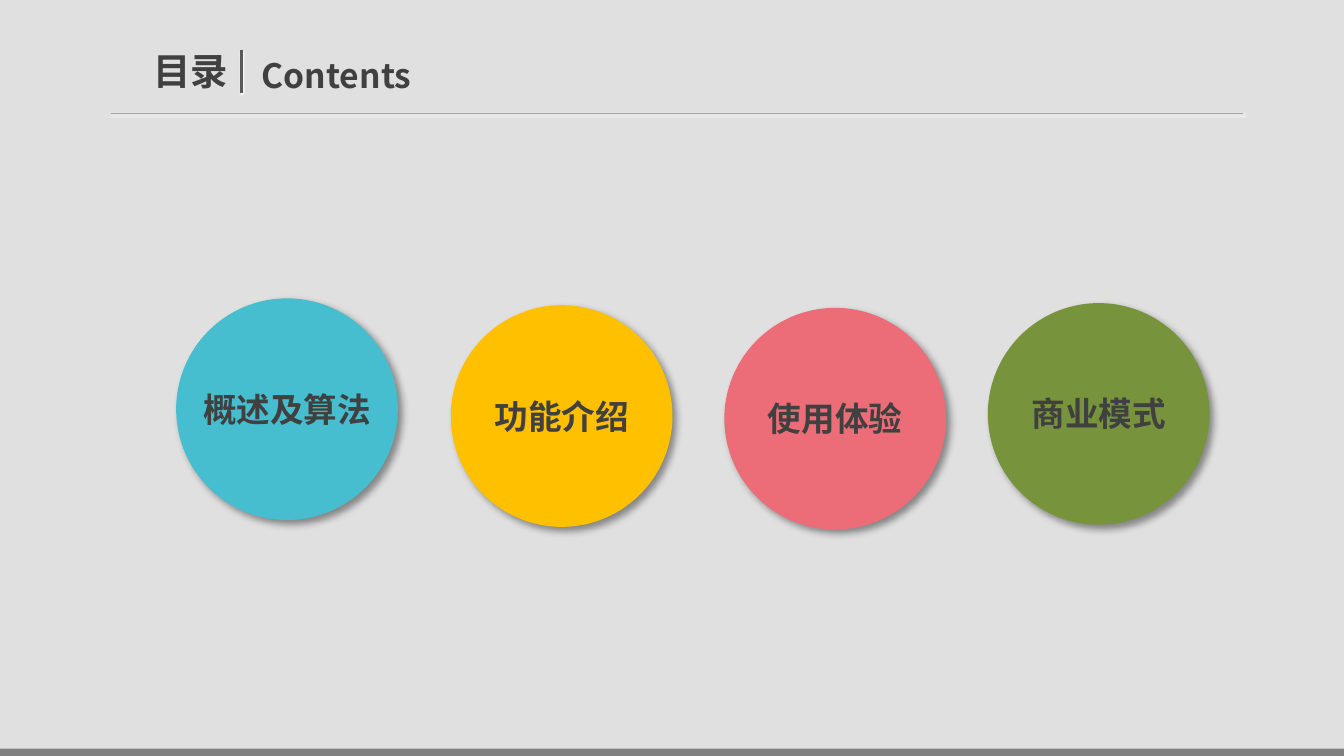
from lxml import etree
from pptx import Presentation
from pptx.dml.color import RGBColor
from pptx.enum.shapes import MSO_CONNECTOR, MSO_SHAPE
from pptx.enum.text import MSO_ANCHOR, MSO_AUTO_SIZE, PP_ALIGN
from pptx.oxml import parse_xml
from pptx.oxml.ns import qn
from pptx.util import Cm, Pt

RECT = MSO_SHAPE.RECTANGLE
DISC = MSO_SHAPE.FLOWCHART_CONNECTOR
LINE = MSO_CONNECTOR.STRAIGHT
TOP = MSO_ANCHOR.TOP
GROW = MSO_AUTO_SIZE.SHAPE_TO_FIT_TEXT
LEFT, MID = PP_ALIGN.LEFT, PP_ALIGN.CENTER

FONT = "Noto Sans CJK SC"
BLACK = RGBColor(0x00, 0x00, 0x00)
DARK = RGBColor(0x40, 0x40, 0x40)
SLATE = RGBColor(0x59, 0x59, 0x59)
GREY = RGBColor(0x80, 0x80, 0x80)
PALE = RGBColor(0xA6, 0xA6, 0xA6)
WHITE = RGBColor(0xFF, 0xFF, 0xFF)
TEAL = RGBColor(0x47, 0xBE, 0xCF)
GOLD = RGBColor(0xFF, 0xC0, 0x00)
ROSE = RGBColor(0xEC, 0x6D, 0x77)
GREEN = RGBColor(0x77, 0x93, 0x3C)


def add_shade(shape, color, alpha, blur, dist, angle):
    """Give a shape or line an outer shadow; blur and dist in points."""
    shape._element.spPr.append(parse_xml(
        '<a:effectLst xmlns:a="http://schemas.openxmlformats.org/drawingml/2006/main">'
        f'<a:outerShdw blurRad="{Pt(blur)}" dist="{Pt(dist)}" dir="{angle * 60000}"'
        f' algn="t" rotWithShape="0"><a:srgbClr val="{color}">'
        f'<a:alpha val="{alpha * 1000}"/></a:srgbClr></a:outerShdw></a:effectLst>'))


def set_text(shape, text, size, align):
    """Write one bold line of text into a box."""
    frame = shape.text_frame
    frame.word_wrap = True
    frame.auto_size = GROW
    frame.vertical_anchor = TOP
    para = frame.paragraphs[0]
    para.alignment = align
    run = para.add_run()
    run.text = text
    font = run.font
    font.name, font.size, font.bold = FONT, Pt(size), True
    font.color.rgb = DARK
    east = etree.SubElement(font._element, qn("a:ea"))
    east.set("typeface", FONT)


deck = Presentation()
deck.slide_width, deck.slide_height = Cm(25.4), Cm(14.29)
slide = deck.slides.add_slide(deck.slide_layouts[5])
shapes = slide.shapes

# Grey veil and footer bar
for top, high, color in ((0, 14.29, BLACK), (14.15, 0.14, GREY)):
    bar = shapes.add_shape(RECT, Cm(0), Cm(top), Cm(25.4), Cm(high))
    bar.shadow.inherit = False
    bar.fill.solid()
    bar.fill.fore_color.rgb = color
    bar.line.fill.background()
    if color == BLACK:
        tint = bar._element.spPr.find(qn("a:solidFill"))[0]
        etree.SubElement(tint, qn("a:alpha")).set("val", "12000")

# Header rule and divider
for x1, y1, x2, y2, color, width in (
        (2.1, 2.14, 23.5, 2.14, PALE, 0.75),
        (4.57, 1.75, 4.57, 0.94, SLATE, 1.5)):
    rule = shapes.add_connector(LINE, Cm(x1), Cm(y1), Cm(x2), Cm(y2))
    rule.line.color.rgb = color
    rule.line.width = Pt(width)
    add_shade(rule, WHITE, 100, 1, 1, 90)

# Title, brought in front of the veil
title = shapes.title
title.left, title.top, title.width, title.height = Cm(2.51), Cm(0.79), Cm(2.18), Cm(1.11)
set_text(title, "目录", 20, MID)
rule._element.addnext(title._element)

# English heading
head = shapes.add_textbox(Cm(4.7), Cm(0.91), Cm(4.19), Cm(1.03))
set_text(head, "Contents", 18, LEFT)

# Topic discs, each grouped with its label
SIZE, WIDE, HIGH = 4.19, 4.6, 1.03
topics = (
    ("概述及算法", TEAL, 3.33, 5.64),
    ("功能介绍", GOLD, 8.52, 5.77),
    ("使用体验", ROSE, 13.69, 5.82),
    ("商业模式", GREEN, 18.67, 5.73),
)
for text, color, left, top in topics:
    group = shapes.add_group_shape()
    disc = group.shapes.add_shape(DISC, Cm(left), Cm(top), Cm(SIZE), Cm(SIZE))
    disc.fill.solid()
    disc.fill.fore_color.rgb = color
    disc.line.fill.background()
    add_shade(disc, BLACK, 40, 4, 3, 45)
    label = group.shapes.add_textbox(
        Cm(left - (WIDE - SIZE) / 2), Cm(top + (SIZE - HIGH) / 2), Cm(WIDE), Cm(HIGH))
    set_text(label, text, 18, MID)

deck.save("out.pptx")
